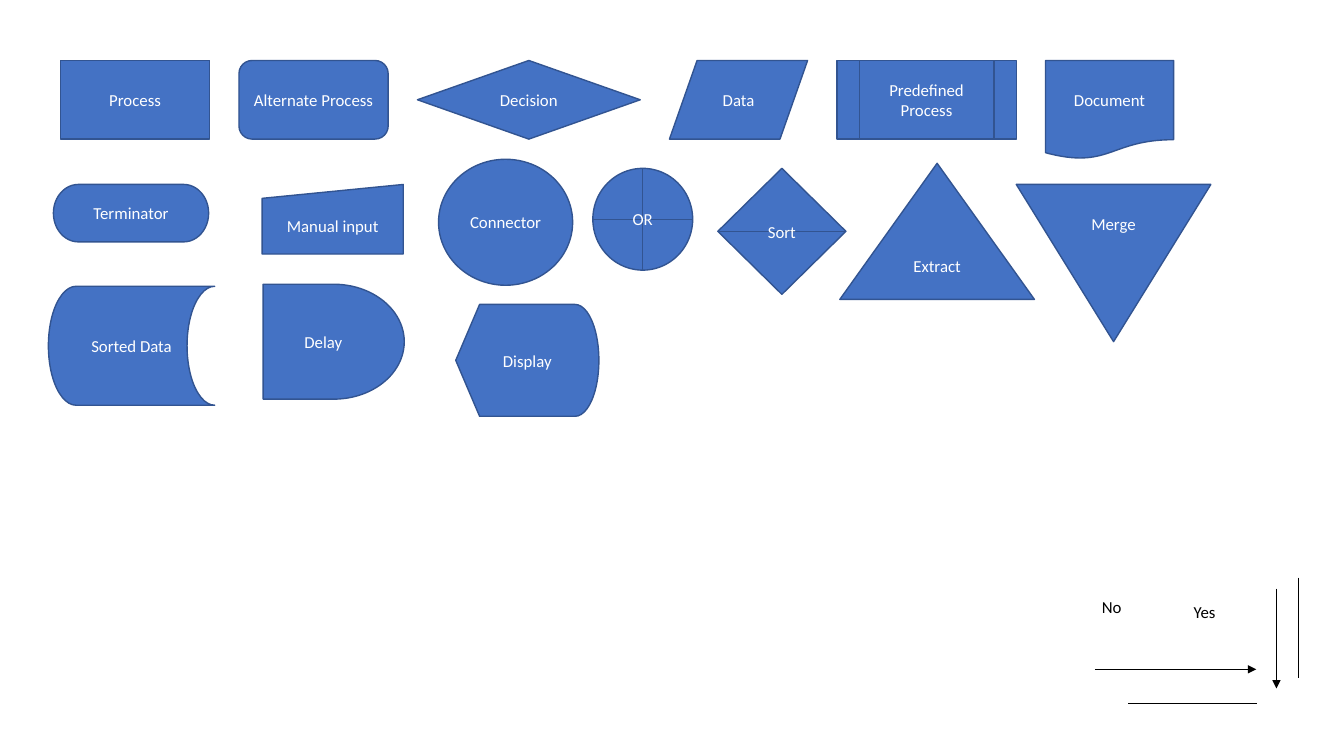
from pptx import Presentation
from pptx.dml.color import RGBColor
from pptx.enum.shapes import MSO_CONNECTOR, MSO_SHAPE as Shape
from pptx.enum.text import MSO_ANCHOR as Anchor, MSO_AUTO_SIZE as AutoSize, PP_ALIGN as Align
from pptx.oxml.ns import qn
from pptx.util import Inches, Pt
from lxml.etree import SubElement

BLUE, EDGE, WHITE, BLACK = "4472C4", "325491", "FFFFFF", "000000"


def color(value):
    return RGBColor.from_string(value)


class Page:
    """Holds the text style and the current slide."""

    font = {"name": "Calibri", "size": Pt(12)}

    def __init__(self, deck):
        self.slide = deck.slides.add_slide(deck.slide_layouts[6])
        self.shapes = self.slide.shapes

    def add_text(self, box, text, ink, align, **frame_format):
        frame = box.text_frame
        for name, value in {"word_wrap": True, **frame_format}.items():
            setattr(frame, name, value)
        para = frame.paragraphs[0]
        para.alignment = align
        span = para.add_run()
        span.text = text
        for name, value in self.font.items():
            setattr(span.font, name, value)
        span.font.color.rgb = color(ink)

    def symbol(self, kind, text, left, top, width, height):
        box = self.shapes.add_shape(kind, *map(Inches, (left, top, width, height)))
        box.shadow.inherit = False
        box.fill.solid()
        box.fill.fore_color.rgb = color(BLUE)
        box.line.color.rgb = color(EDGE)
        box.line.width = Pt(1)
        self.add_text(box, text, WHITE, Align.CENTER, vertical_anchor=Anchor.MIDDLE)

    def label(self, text, left, top, width, height):
        box = self.shapes.add_textbox(*map(Inches, (left, top, width, height)))
        self.add_text(box, text, BLACK, Align.LEFT, auto_size=AutoSize.SHAPE_TO_FIT_TEXT)

    def line(self, start, end, arrow=False):
        link = self.shapes.add_connector(MSO_CONNECTOR.STRAIGHT, *map(Inches, start + end))
        link.line.color.rgb = color(BLACK)
        link.line.width = Pt(0.5)
        properties = link.element.spPr
        if arrow:
            SubElement(properties.find(qn("a:ln")), qn("a:tailEnd"), type="triangle")
        SubElement(properties, qn("a:effectLst"))


deck = Presentation()
deck.slide_width, deck.slide_height = Inches(13.33), Inches(7.5)
page = Page(deck)

# First row: equal gaps between symbols
TOP_ROW = [
    (Shape.FLOWCHART_PROCESS, "Process", 1.48, 0.78),
    (Shape.FLOWCHART_ALTERNATE_PROCESS, "Alternate Process", 1.48, 0.78),
    (Shape.FLOWCHART_DECISION, "Decision", 2.21, 0.78),
    (Shape.FLOWCHART_DATA, "Data", 1.37, 0.78),
    (Shape.FLOWCHART_PREDEFINED_PROCESS, "Predefined Process", 1.78, 0.78),
    (Shape.FLOWCHART_DOCUMENT, "Document", 1.27, 0.98),
]
left, top, gap = 0.6, 0.6, 0.29
for kind, text, width, height in TOP_ROW:
    page.symbol(kind, text, left, top, width, height)
    left += width + gap

# Remaining symbols, placed freely
FREE_SYMBOLS = [
    (Shape.FLOWCHART_TERMINATOR, "Terminator", 0.53, 1.83, 1.54, 0.57),
    (Shape.FLOWCHART_MANUAL_INPUT, "Manual input", 2.6, 1.83, 1.4, 0.69),
    (Shape.FLOWCHART_OR, "OR", 5.88, 1.67, 0.99, 1.01),
    (Shape.FLOWCHART_SORT, "Sort", 7.12, 1.67, 1.27, 1.25),
    (Shape.FLOWCHART_EXTRACT, "Extract", 8.33, 1.62, 1.93, 1.35),
    (Shape.FLOWCHART_MERGE, "Merge", 10.08, 1.83, 1.93, 1.56),
    (Shape.FLOWCHART_STORED_DATA, "Sorted Data", 0.48, 2.84, 1.65, 1.18),
    (Shape.FLOWCHART_DELAY, "Delay", 2.61, 2.82, 1.4, 1.14),
    (Shape.FLOWCHART_DISPLAY, "Display", 4.52, 3.02, 1.42, 1.11),
    (Shape.FLOWCHART_CONNECTOR, "Connector", 4.35, 1.58, 1.33, 1.25),
]
for symbol in FREE_SYMBOLS:
    page.symbol(*symbol)

# Lines and arrows
page.line((11.19, 6.98), (12.47, 6.98))
page.line((12.66, 5.84), (12.66, 6.83), arrow=True)
page.line((10.86, 6.64), (12.46, 6.64), arrow=True)
page.line((12.88, 5.73), (12.88, 6.73))

# Branch labels
page.label("No", 10.83, 5.87, 0.68, 0.3)
page.label("Yes", 11.74, 5.92, 0.68, 0.3)

deck.save("out.pptx")
